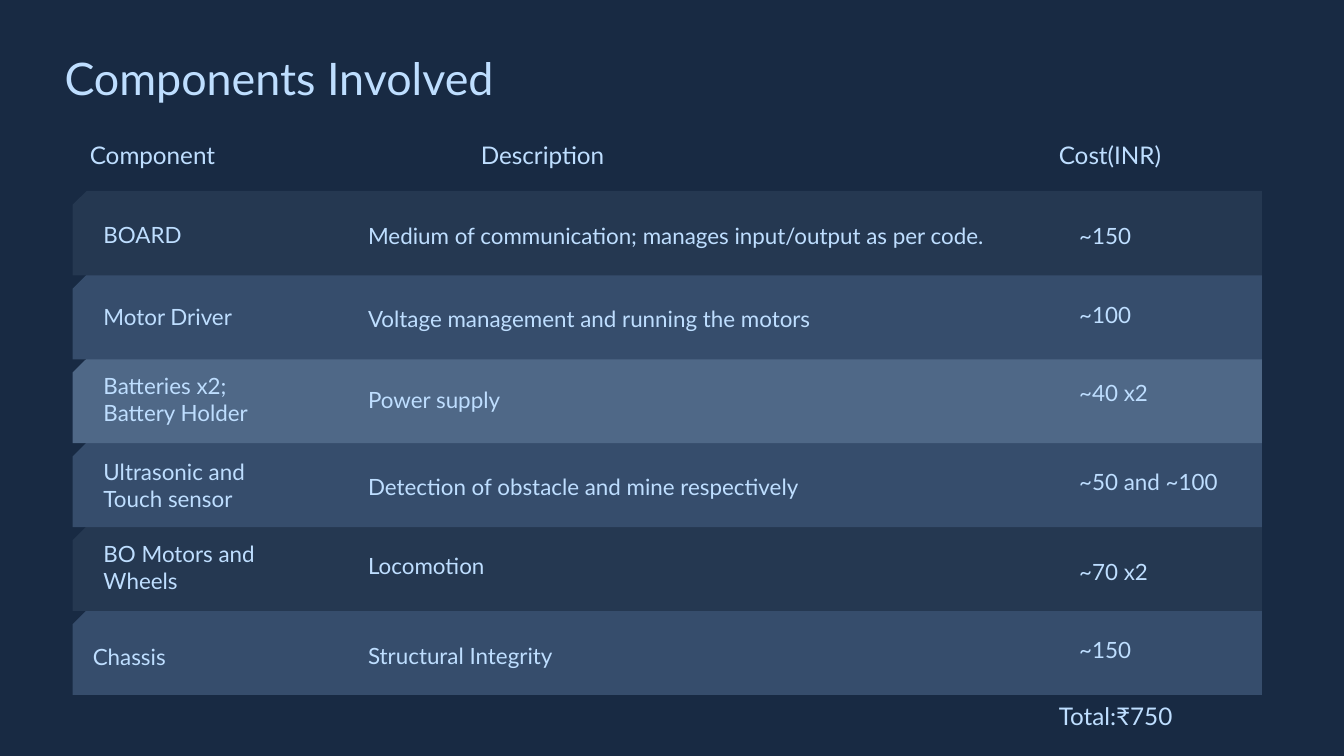
from dataclasses import dataclass
from typing import NamedTuple

from pptx import Presentation
from pptx.dml.color import RGBColor
from pptx.enum.shapes import MSO_SHAPE
from pptx.enum.text import MSO_ANCHOR
from pptx.util import Inches, Pt


@dataclass(frozen=True)
class Theme:
    background: str = "182A43"
    text: str = "BEDEFF"
    dark: str = "253851"
    medium: str = "364D6C"
    light: str = "4F6887"
    font: str = "Lato"
    title_size: int = 24
    heading_size: int = 13
    body_size: int = 12


class Box(NamedTuple):
    left: float
    top: float
    width: float
    height: float

    def inside(self, left, top, width, height):
        return Box(self.left + left, self.top + top, width, height)

    def inches(self):
        return [Inches(length) for length in self]


class Component(NamedTuple):
    """One row; drops are the distances of its three texts from the row's top."""
    name: str
    description: str
    cost: str
    fill: str
    drops: tuple
    name_indent: float = 0.23
    cost_width: float = 0.75


THEME = Theme()
SLIDE = Box(0, 0, 10, 10 * 9 / 16)
TITLE = Box(0.48, 0.42, 5.91, 0.45)
TABLE = Box(0.54, 1.42, 8.85, 3.75)
TIGHT = (0, 0, 0.1, 0)
PADDED = (0.1, 0.1, 0.1, 0.1)
BAND_HEIGHT = 0.63
HEADING_HEIGHT = 0.37
DESCRIPTION_INDENT, COST_INDENT, COST_HEADING_INDENT = 2.1, 7.49, 7.24
HEADINGS = [("Component", 0.03, 1.55), ("Description", 2.94, 1.55),
            ("Cost(INR)", COST_HEADING_INDENT, 1.11)]
COMPONENTS = [
    Component("BOARD", "Medium of communication; manages input/output as per code.",
              "~150", THEME.dark, (0.11, 0.11, 0.12)),
    Component("Motor Driver", "Voltage management and running the motors",
              "~100", THEME.medium, (0.1, 0.1, 0.08)),
    Component("Batteries x2; Battery Holder", "Power supply",
              "~40 x2", THEME.light, (0.09, 0.08, 0.04)),
    Component("Ultrasonic and Touch sensor", "Detection of obstacle and mine respectively",
              "~50 and ~100", THEME.medium, (0.1, 0.1, 0.08), cost_width=1.17),
    Component("BO Motors and Wheels", "Locomotion",
              "~70 x2", THEME.dark, (0.09, 0.07, 0.12)),
    Component("Chassis", "Structural Integrity",
              "~150", THEME.medium, (0.13, 0.11, 0.08), name_indent=0.15),
]


def add_text(slide, box, words, size, insets, anchor=MSO_ANCHOR.MIDDLE, spacing=1.0):
    frame = slide.shapes.add_textbox(*box.inches()).text_frame
    frame.word_wrap = True
    frame.vertical_anchor = anchor
    (frame.margin_left, frame.margin_top,
     frame.margin_right, frame.margin_bottom) = [Inches(inset) for inset in insets]
    paragraph = frame.paragraphs[0]
    paragraph.line_spacing = spacing
    run = paragraph.add_run()
    run.text = words
    run.font.name = THEME.font
    run.font.size = Pt(size)
    run.font.color.rgb = RGBColor.from_string(THEME.text)


def add_band(slide, box, fill):
    """Draw a row's background with its top left corner cut off."""
    band = slide.shapes.add_shape(MSO_SHAPE.SNIP_1_RECTANGLE, *box.inches())
    band.adjustments[0] = 0.167
    band._element.spPr.xfrm.set("flipH", "1")
    band.shadow.inherit = False
    band.fill.solid()
    band.fill.fore_color.rgb = RGBColor.from_string(fill)
    band.line.fill.background()


def add_headings(slide, table):
    for words, indent, width in HEADINGS:
        add_text(slide, table.inside(indent, -0.45, width, HEADING_HEIGHT),
                 words, THEME.heading_size, PADDED)


def add_component(slide, row, component):
    add_band(slide, row, component.fill)
    name_drop, description_drop, cost_drop = component.drops
    cells = [
        (component.name, (component.name_indent, name_drop, 1.35, 0.43), TIGHT),
        (component.description, (DESCRIPTION_INDENT, description_drop, 4.81, 0.45), PADDED),
        (component.cost, (COST_INDENT, cost_drop, component.cost_width, 0.43), TIGHT),
    ]
    for words, place, insets in cells:
        add_text(slide, row.inside(*place), words, THEME.body_size, insets)


def add_components(slide, table):
    """Stack the rows from the bottom up, each slightly overlapping the one below."""
    pitch = (table.height - BAND_HEIGHT) / (len(COMPONENTS) - 1)
    for index, component in reversed(list(enumerate(COMPONENTS))):
        row = table.inside(0, index * pitch, table.width, BAND_HEIGHT)
        add_component(slide, row, component)


def add_total(slide, table):
    add_text(slide, table.inside(COST_HEADING_INDENT, table.height - 0.03, 1.35, HEADING_HEIGHT),
             "Total:₹750", THEME.heading_size, PADDED)


def main():
    presentation = Presentation()
    presentation.slide_width = Inches(SLIDE.width)
    presentation.slide_height = Inches(SLIDE.height)
    slide = presentation.slides.add_slide(presentation.slide_layouts[6])
    slide.background.fill.solid()
    slide.background.fill.fore_color.rgb = RGBColor.from_string(THEME.background)

    add_text(slide, TITLE, "Components Involved", THEME.title_size, TIGHT,
             MSO_ANCHOR.TOP, spacing=0.9)
    add_headings(slide, TABLE)
    add_components(slide, TABLE)
    add_total(slide, TABLE)
    presentation.save("out.pptx")


if __name__ == "__main__":
    main()
